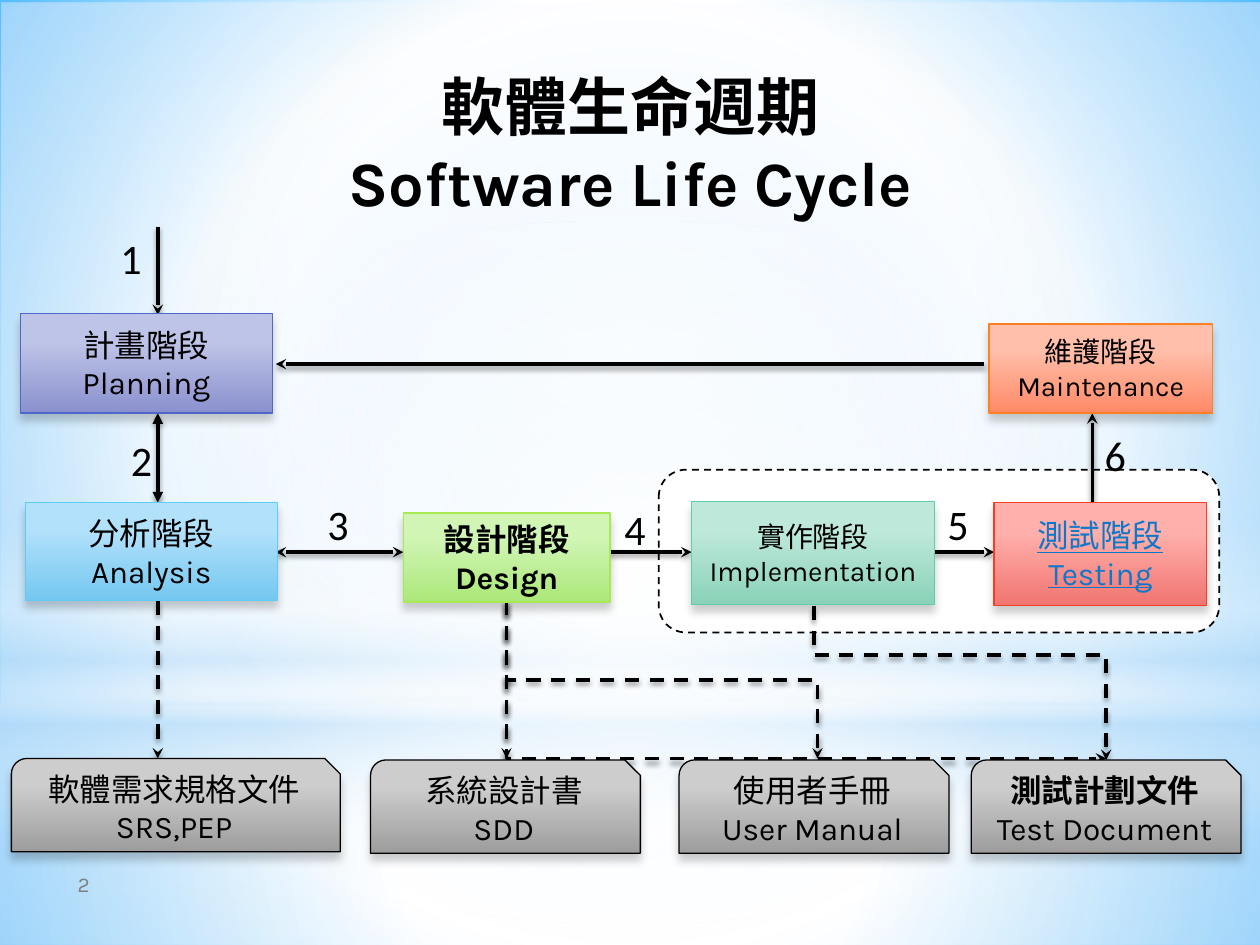
from lxml.etree import SubElement
from pptx import Presentation
from pptx.dml.color import RGBColor
from pptx.enum.dml import MSO_LINE_DASH_STYLE as Dash
from pptx.enum.shapes import MSO_CONNECTOR as Link, MSO_SHAPE as Form
from pptx.enum.text import MSO_ANCHOR as Anchor, PP_ALIGN as Align
from pptx.oxml.ns import qn
from pptx.util import Cm, Pt

BLACK = "000000"
TITLE = "軟體生命週期\nSoftware Life Cycle"

BACKGROUND = [(0, "99D4FE", 100), (61, "FFFFFF", 100), (100, "54BDFF", 100)]
GLOWS = [
    (Form.RECTANGLE, (0, 14.17, 25.4, 4.88), True,
     [(0, "FFFFFF", 91), (37, "FFFFFF", 75), (100, "B4DCFA", 78)]),
    (Form.RECTANGLE, (0.03, 0.05, 25.4, 14.17), True,
     [(0, "FFFFFF", 88), (48, "FFFFFF", 62), (100, "B4DCFA", 78)]),
    (Form.RECTANGLE, (0, 10.46, 25.4, 6.35), False,
     [(0, "FFFFFF", 0), (29, "FFFFFF", 29), (45, "B4DCFA", 40),
      (55, "FFFFFF", 25), (65, "B4DCFA", 60), (100, "FFFFFF", 0)]),
    (Form.OVAL, (0, 4.45, 25.4, 14.17), True,
     [(0, "FFFFFF", 100), (56, "FFFFFF", 0), (100, "FFFFFF", 0)]),
]

PHASES = [
    ("計畫階段\vPlanning", (0.41, 6.32, 5.08, 2.01), "BEC4E7", "8A91CE", "4E67C8", {}),
    ("分析階段\vAnalysis", (0.51, 10.13, 5.08, 1.98), "B2E1FB", "74C7F0", "5ECCF3", {}),
    ("設計階段\vDesign", (8.13, 10.34, 4.17, 1.8), "D0F5B5", "ABE879", "A7EA52",
     {"bold_lines": 1}),
    ("實作階段\nImplementation", (13.94, 10.11, 4.9, 2.08), "BEE9DA", "8AD1B8", "5DCEAF",
     {"size": 16}),
    ("測試階段\nTesting", (20.04, 10.13, 4.29, 2.08), "FFB0AC", "F17570", "F14124",
     {"color": "0D78C9", "underline": True}),
    ("維護階段\nMaintenance", (19.94, 6.53, 4.5, 1.8), "FFBFAB", "FF8966", "FF8021",
     {"size": 16}),
]
DOCUMENTS = [
    ("軟體需求規格文件\vSRS,PEP", (0.23, 15.29, 6.63, 1.88), {}),
    ("系統設計書\nSDD", (7.47, 15.32, 5.44, 1.88), {}),
    ("使用者手冊\nUser Manual", (13.69, 15.32, 5.44, 1.88), {}),
    ("測試計劃文件\nTest Document", (19.58, 15.32, 5.44, 1.88), {"bold_lines": 1}),
]
STEPS = [("1", 2.18, 4.57), ("2", 2.39, 8.64), ("3", 6.35, 9.93),
         ("4", 12.34, 10.03), ("5", 18.85, 9.93), ("6", 22.02, 8.53)]

ARROWS = [
    ((3.18, 4.57), (3.18, 6.35), {}),
    ((3.18, 8.33), (3.18, 10.13), {"head": "triangle", "tail": "triangle"}),
    ((8.13, 11.13), (5.56, 11.13), {"head": "stealth"}),
    ((12.29, 11.13), (13.94, 11.13), {}),
    ((18.85, 11.13), (20.04, 11.13), {}),
    ((22.02, 10.11), (22.02, 8.33), {}),
    ((19.84, 7.34), (5.56, 7.34), {}),
    ((3.18, 12.12), (3.18, 15.29), {"dashed": True}),
    ((10.21, 12.12), (10.21, 15.29), {"dashed": True}),
    ((10.21, 12.12), (16.48, 15.29), {"dashed": True, "bend": 0.5}),
    ((10.21, 12.12), (22.3, 15.29), {"dashed": True, "bend": 0, "sideways": True}),
    ((16.41, 12.22), (22.3, 15.32), {"dashed": True, "bend": 0.317}),
]


def rgb(value):
    return RGBColor.from_string(value)


def add_node(parent, tag, **attributes):
    return SubElement(parent, qn(tag), {key: str(value) for key, value in attributes.items()})


def add_color(parent, color, opacity):
    node = add_node(parent, "a:srgbClr", val=color)
    if opacity < 100:
        add_node(node, "a:alpha", val=opacity * 1000)


def set_gradient(properties, stops, radial=False):
    solid = properties.find(qn("a:solidFill"))
    gradient = add_node(properties, "a:gradFill", rotWithShape=1)
    stop_list = add_node(gradient, "a:gsLst")
    for position, color, opacity in stops:
        add_color(add_node(stop_list, "a:gs", pos=position * 1000), color, opacity)
    if radial:
        circle = add_node(gradient, "a:path", path="circle")
        add_node(circle, "a:fillToRect", l=50000, t=50000, r=50000, b=50000)
    else:
        add_node(gradient, "a:lin", ang=5400000, scaled=0)
    properties.replace(solid, gradient)


def add_shadow(effects, opacity, blur, distance):
    shadow = add_node(effects, "a:outerShdw", blurRad=Pt(blur), dist=Pt(distance),
                      dir=5400000, algn="ctr", rotWithShape=0)
    add_color(shadow, BLACK, opacity)


def write(frame, text, size=18, font="Karla", color=BLACK, bold_lines=0,
          underline=None, align=Align.CENTER, anchor=Anchor.MIDDLE):
    frame.word_wrap = True
    frame.vertical_anchor = anchor
    for index, line in enumerate(text.split("\n")):
        para = frame.add_paragraph() if index else frame.paragraphs[0]
        para.text = line
        para.alignment = align
        for span in para.runs:
            span.font.size = Pt(size)
            span.font.name = font
            span.font.bold = index < bold_lines
            span.font.underline = underline
            span.font.color.rgb = rgb(color)


def add_box(form, area, fill="FFFFFF", line=None, width=0.75):
    box = slide.shapes.add_shape(form, *map(Cm, area))
    box.shadow.inherit = False
    box.fill.solid()
    box.fill.fore_color.rgb = rgb(fill)
    if line:
        box.line.color.rgb = rgb(line)
        box.line.width = Pt(width)
    else:
        box.line.fill.background()
    return box


def add_card(form, area, text, light, dark, line, style):
    box = add_box(form, area, line=line)
    properties = box.element.spPr
    set_gradient(properties, [(0, light, 100), (28, light, 100), (100, dark, 100)])
    add_shadow(properties.find(qn("a:effectLst")), 20, 5, 4)
    write(box.text_frame, text, **style)


def add_label(area, text, **style):
    box = slide.shapes.add_textbox(*map(Cm, area))
    write(box.text_frame, text, **style)


def add_arrow(start, end, head=None, tail="stealth", dashed=False, bend=None, sideways=False):
    (x1, y1), (x2, y2) = start, end
    turned = bend is not None and not sideways
    if turned:
        middle_x, middle_y = (x1 + x2) / 2, (y1 + y2) / 2
        half_x, half_y = (y2 - y1) / 2, (x2 - x1) / 2
        x1, x2 = middle_x - half_x, middle_x + half_x
        y1, y2 = middle_y - half_y, middle_y + half_y
    kind = Link.STRAIGHT if bend is None else Link.ELBOW
    arrow = slide.shapes.add_connector(kind, Cm(x1), Cm(y1), Cm(x2), Cm(y2))
    arrow.line.color.rgb = rgb(BLACK)
    arrow.line.width = Pt(2)
    if dashed:
        arrow.line.dash_style = Dash.DASH
    properties = arrow.element.spPr
    if turned:
        frame = properties.find(qn("a:xfrm"))
        frame.set("rot", str(270 * 60000))
        frame.set("flipH", "1")
    if bend is not None:
        guides = properties.find(qn("a:prstGeom")).find(qn("a:avLst"))
        add_node(guides, "a:gd", name="adj1", fmla=f"val {round(bend * 100000)}")
    line = properties.find(qn("a:ln"))
    for tag, tip in (("a:headEnd", head), ("a:tailEnd", tail)):
        if tip:
            add_node(line, tag, type=tip)
    add_shadow(add_node(properties, "a:effectLst"), 44, 3.1, 1.8)


deck = Presentation()
deck.slide_width, deck.slide_height = Cm(25.4), Cm(19.05)
slide = deck.slides.add_slide(deck.slide_layouts[5])
slide.background.fill.solid()
set_gradient(slide.element.find(".//" + qn("p:bgPr")), BACKGROUND, radial=True)

for form, area, radial, stops in GLOWS:
    set_gradient(add_box(form, area).element.spPr, stops, radial)

title = slide.shapes.title
title.left, title.top, title.width, title.height = map(Cm, (2.31, 1.3, 20.8, 3.18))
write(title.text_frame, TITLE, size=36, bold_lines=2)
slide.shapes.element.append(title.element)
add_label((0.89, 17.32, 1.6, 0.99), "2", size=12, color="7F7F7F")

panel = add_box(Form.ROUNDED_RECTANGLE, (13.28, 9.47, 11.3, 3.28), line=BLACK, width=1)
panel.line.dash_style = Dash.DASH
for start, end, options in ARROWS:
    add_arrow(start, end, **options)
for number, left, top in STEPS:
    add_label((left, top, 0.94, 1.27), number, size=24, font="Calibri",
              align=Align.LEFT, anchor=Anchor.TOP)
for text, area, style in DOCUMENTS:
    add_card(Form.SNIP_ROUND_RECTANGLE, area, text, "CDCDCD", "9D9D9D", BLACK, style)
for text, area, light, dark, line, style in PHASES:
    add_card(Form.RECTANGLE, area, text, light, dark, line, style)

deck.save("out.pptx")
